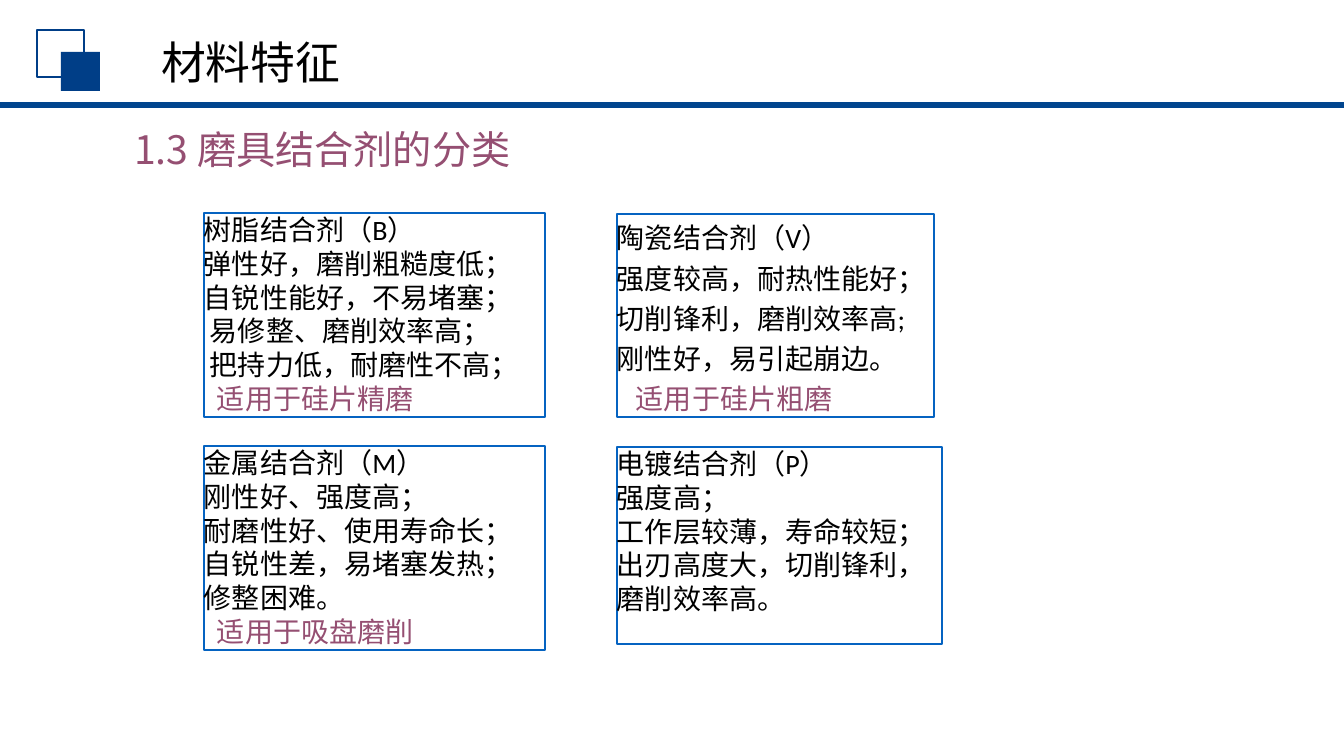
from lxml import etree
from pptx import Presentation
from pptx.dml.color import RGBColor
from pptx.enum.shapes import MSO_CONNECTOR, MSO_SHAPE
from pptx.enum.text import MSO_ANCHOR, MSO_AUTO_SIZE, PP_ALIGN
from pptx.oxml.ns import qn
from pptx.util import Emu, Pt

RECT = MSO_SHAPE.RECTANGLE
STRAIGHT = MSO_CONNECTOR.STRAIGHT
TOP, MIDDLE = MSO_ANCHOR.TOP, MSO_ANCHOR.MIDDLE
NO_AUTOFIT = MSO_AUTO_SIZE.NONE
LEFT = PP_ALIGN.LEFT

PX_PER_INCH = 100.8
NAVY, RULE_BLUE, FRAME_BLUE = "003E87", "01458E", "0563C1"
PLUM, BLACK = "954F72", "000000"

# Bond cards: frame, line spacing, lines as (text, indent in px, colour)
BONDS = [
    ((204, 213, 341, 204), 1.0, [
        ("树脂结合剂（B）", 0, BLACK),
        ("弹性好，磨削粗糙度低；", 0, BLACK),
        ("自锐性能好，不易堵塞；", 0, BLACK),
        ("易修整、磨削效率高；", 6, BLACK),
        ("把持力低，耐磨性不高；", 6, BLACK),
        ("适用于硅片精磨", 13, PLUM)]),
    ((617, 214, 317, 203), 1.2, [
        ("陶瓷结合剂（V）", 0, BLACK),
        ("强度较高，耐热性能好；", 0, BLACK),
        ("切削锋利，磨削效率高;\v刚性好，易引起崩边。", 0, BLACK),
        ("适用于硅片粗磨", 19, PLUM)]),
    ((204, 446, 341, 204), 1.0, [
        ("金属结合剂（M）", 0, BLACK),
        ("刚性好、强度高；", 0, BLACK),
        ("耐磨性好、使用寿命长；", 0, BLACK),
        ("自锐性差，易堵塞发热；", 0, BLACK),
        ("修整困难。", 0, BLACK),
        ("适用于吸盘磨削", 13, PLUM)]),
    ((617, 447, 325, 197), 1.0, [
        ("电镀结合剂（P）", 0, BLACK),
        ("强度高；", 0, BLACK),
        ("工作层较薄，寿命较短；", 0, BLACK),
        ("出刃高度大，切削锋利，磨削效率高。", 0, BLACK)]),
]


def px(length):
    return Emu(round(length * 914400 / PX_PER_INCH))


def rgb(code):
    return RGBColor.from_string(code)


def format_paragraph(paragraph, text, size, color, font="Calibri", indent=0, spacing=1.0):
    paragraph.text = text
    properties = paragraph._p.get_or_add_pPr()
    properties.set("marL", str(px(indent)))
    properties.set("indent", "0")
    etree.SubElement(properties, qn("a:buNone"))
    paragraph.alignment = LEFT
    paragraph.line_spacing = spacing
    paragraph.space_before = Pt(0)
    paragraph.font.size = Pt(size)
    paragraph.font.name = font
    paragraph.font.color.rgb = rgb(color)


def fill_placeholder(holder, frame, anchor, text, size, color, **style):
    holder.left, holder.top, holder.width, holder.height = map(px, frame)
    text_frame = holder.text_frame
    text_frame.auto_size = NO_AUTOFIT
    text_frame.vertical_anchor = anchor
    format_paragraph(text_frame.paragraphs[0], text, size, color, **style)


def add_rectangle(slide, frame, fill=None, line=None, width=1):
    rectangle = slide.shapes.add_shape(RECT, *map(px, frame))
    rectangle.shadow.inherit = False
    if fill:
        rectangle.fill.solid()
        rectangle.fill.fore_color.rgb = rgb(fill)
    else:
        rectangle.fill.background()
    if line:
        rectangle.line.color.rgb = rgb(line)
        rectangle.line.width = Pt(width)
    else:
        rectangle.line.fill.background()
    return rectangle


def add_rule(slide, y, width):
    rule = slide.shapes.add_connector(STRAIGHT, 0, px(y), px(width), px(y))
    rule.line.color.rgb = rgb(RULE_BLUE)
    rule.line.width = Pt(4.5)
    etree.SubElement(rule._element.spPr, qn("a:effectLst"))


def add_bond_card(slide, frame, spacing, lines):
    card = add_rectangle(slide, frame, line=FRAME_BLUE, width=1.75)
    text_frame = card.text_frame
    text_frame.word_wrap = True
    text_frame.vertical_anchor = TOP
    text_frame.margin_left = text_frame.margin_right = 0
    text_frame.margin_top = text_frame.margin_bottom = 0
    for number, (text, indent, color) in enumerate(lines):
        paragraph = text_frame.add_paragraph() if number else text_frame.paragraphs[0]
        format_paragraph(paragraph, text, 20, color, indent=indent, spacing=spacing)


def main():
    presentation = Presentation()
    presentation.slide_width, presentation.slide_height = px(1344), px(756)
    slide = presentation.slides.add_slide(presentation.slide_layouts[1])
    title, heading = slide.placeholders

    # Header band
    add_rule(slide, 105, 1344)
    add_rectangle(slide, (37, 30, 47, 47), line=NAVY)
    add_rectangle(slide, (61, 52, 39, 39), fill=NAVY)
    fill_placeholder(title, (151, 30, 584, 64), MIDDLE, "材料特征", 32, BLACK)

    # Section heading
    fill_placeholder(heading, (124, 126, 420, 58), TOP, "1.3 磨具结合剂的分类", 28, PLUM,
                     font="Noto Sans CJK SC", spacing=0.9)

    # Four bond types
    for frame, spacing, lines in BONDS:
        add_bond_card(slide, frame, spacing, lines)

    presentation.save("out.pptx")


if __name__ == "__main__":
    main()
